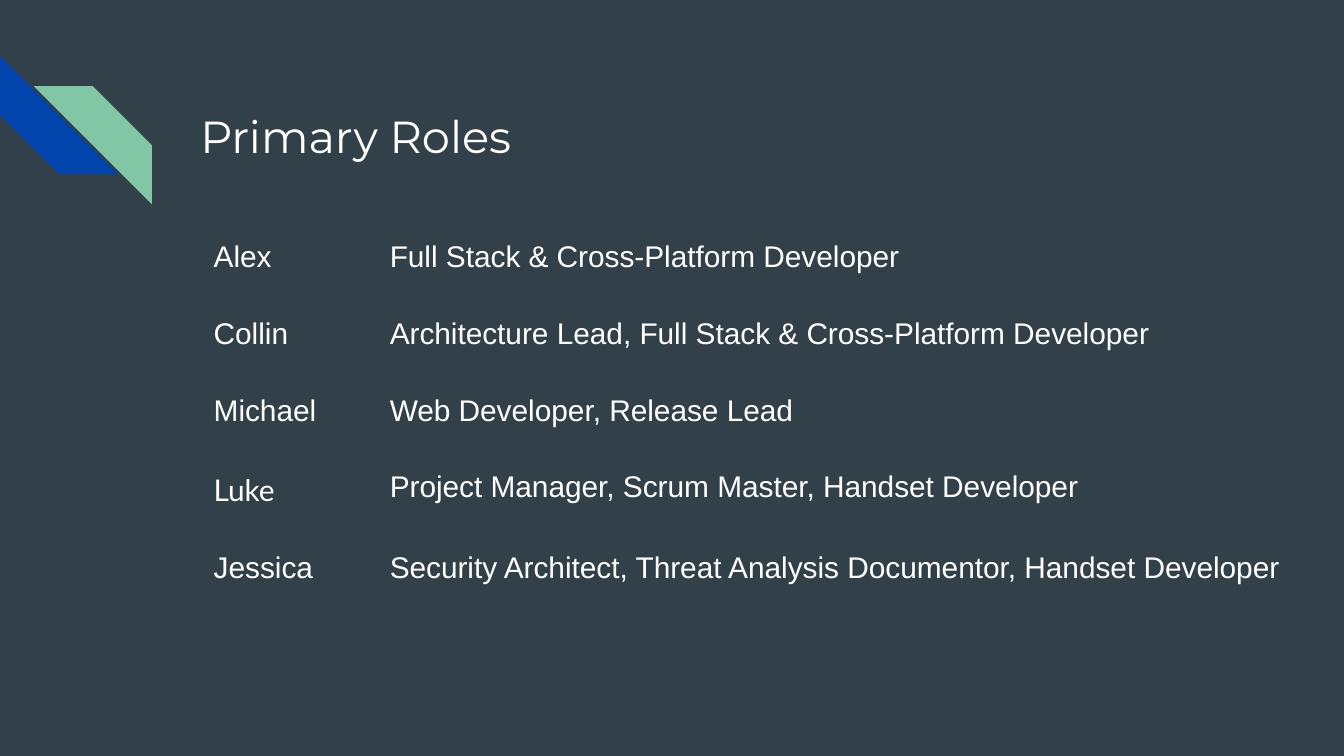
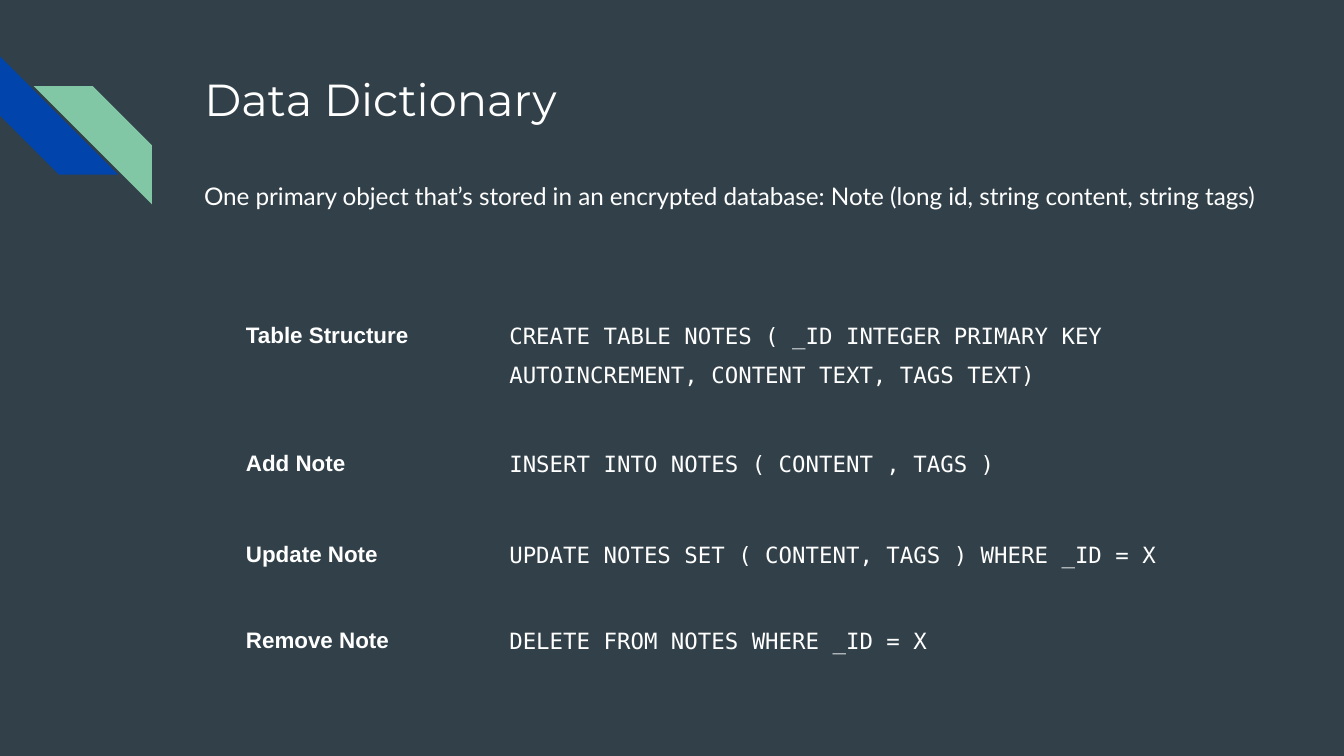
from lxml.etree import SubElement
from pptx import Presentation
from pptx.dml.color import RGBColor
from pptx.enum.shapes import MSO_SHAPE
from pptx.enum.text import MSO_ANCHOR, MSO_AUTO_SIZE, PP_ALIGN
from pptx.oxml.ns import qn
from pptx.util import Pt

# Scale: 200 px to the inch
PX = 4572
SLIDE_SIZE = (2000, 1125)
INSET = 20

# Shared look
SLATE = RGBColor(0x32, 0x41, 0x49)
BLUE = RGBColor(0x01, 0x45, 0xAC)
GREEN = RGBColor(0x82, 0xC7, 0xA5)
WHITE = RGBColor(0xFF, 0xFF, 0xFF)
TITLE_FONT, BODY_FONT = "Montserrat", "Lato"
TABLE_FONT, CODE_FONT = "Arial", "DejaVu Sans Mono"

STRIPE_SIDE = 176
STRIPES = [(0, 84, 270, BLUE), (50, 128, 90, GREEN)]  # left, top, rotation, colour

# Content
ROLES = [
    ("Alex", "Full Stack & Cross-Platform Developer"),
    ("Collin", "Architecture Lead, Full Stack & Cross-Platform Developer"),
    ("Michael", "Web Developer, Release Lead"),
    ("Luke", "Project Manager, Scrum Master, Handset Developer"),
    ("Jessica", "Security Architect, Threat Analysis Documentor, Handset Developer"),
]
SUMMARY = ("One primary object that’s stored in an encrypted database: "
           "Note (long id, string content, string tags)")
STATEMENTS = [
    ("Table Structure", "CREATE TABLE NOTES ( _ID INTEGER PRIMARY KEY "
                        "AUTOINCREMENT, CONTENT TEXT, TAGS TEXT)"),
    ("Add Note", "INSERT INTO NOTES ( CONTENT , TAGS )"),
    ("Update Note", "UPDATE NOTES SET ( CONTENT, TAGS ) WHERE _ID = X"),
    ("Remove Note", "DELETE FROM NOTES WHERE _ID = X"),
]


def emu(*lengths):
    return [round(length * PX) for length in lengths]


def set_insets(holder):
    """Give a text frame or a table cell the same margin on every side."""
    inset = emu(INSET)[0]
    holder.margin_left = holder.margin_right = inset
    holder.margin_top = holder.margin_bottom = inset
    holder.word_wrap = True


def style(paragraph, font_name, size, bold=False):
    font = paragraph.font
    font.name, font.size, font.bold = font_name, Pt(size), bold
    font.color.rgb = WHITE
    paragraph.alignment = PP_ALIGN.LEFT


def dress_layout(layout, slide):
    """Set the background and move the corner stripes onto the layout."""
    layout.background.fill.solid()
    layout.background.fill.fore_color.rgb = SLATE
    for left, top, rotation, colour in STRIPES:
        stripe = slide.shapes.add_shape(
            MSO_SHAPE.DIAGONAL_STRIPE, *emu(left, top, STRIPE_SIDE, STRIPE_SIDE))
        stripe.adjustments[0] = 0.5
        stripe.rotation = rotation
        stripe.shadow.inherit = False
        stripe.fill.solid()
        stripe.fill.fore_color.rgb = colour
        stripe.line.fill.background()
        layout.shapes.element.append(stripe.element)


def set_title(slide, text, box):
    title = slide.shapes.title
    title.left, title.top, title.width, title.height = emu(*box)
    frame = title.text_frame
    frame.text = text
    frame.auto_size = MSO_AUTO_SIZE.NONE
    frame.vertical_anchor = MSO_ANCHOR.TOP
    set_insets(frame)
    style(frame.paragraphs[0], TITLE_FONT, 24)


def add_summary(slide, text, box):
    frame = slide.shapes.add_textbox(*emu(*box)).text_frame
    frame.text = text
    set_insets(frame)
    paragraph = frame.paragraphs[0]
    style(paragraph, BODY_FONT, 13)
    paragraph.line_spacing = 1.15
    paragraph.space_after = Pt(16)


def add_borders(cell):
    properties = cell._tc.get_or_add_tcPr()
    for position, side in enumerate(("a:lnL", "a:lnR", "a:lnT", "a:lnB")):
        line = SubElement(properties, qn(side), w=str(Pt(0.75)))
        fill = SubElement(line, qn("a:solidFill"))
        SubElement(fill, qn("a:srgbClr"), val=str(SLATE))
        properties.insert(position, line)


def add_grid(slide, rows, corner, widths, heights, cell_style):
    """Add a table; cell_style(row, column) gives font, size and bold."""
    table = slide.shapes.add_table(
        len(rows), len(widths), *emu(*corner, sum(widths), sum(heights))).table
    table.first_row = table.horz_banding = False
    for column, width in zip(table.columns, emu(*widths)):
        column.width = width
    for row, height in zip(table.rows, emu(*heights)):
        row.height = height
    for r, texts in enumerate(rows):
        for c, text in enumerate(texts):
            cell = table.cell(r, c)
            cell.text = text
            cell.fill.background()
            set_insets(cell)
            add_borders(cell)
            paragraph = cell.text_frame.paragraphs[0]
            paragraph.line_spacing = 1.5
            style(paragraph, *cell_style(r, c))


def role_style(row, column):
    is_luke = ROLES[row][column] == "Luke"
    return (BODY_FONT if is_luke else TABLE_FONT), 16, False


def statement_style(row, column):
    return (TABLE_FONT, 12, True) if column == 0 else (CODE_FONT, 12, False)


def main():
    deck = Presentation()
    deck.slide_width, deck.slide_height = emu(*SLIDE_SIZE)
    title_only = deck.slide_layouts[5]

    # Primary roles
    roles = deck.slides.add_slide(title_only)
    dress_layout(title_only, roles)
    set_title(roles, "Primary Roles", (278, 142, 1006, 130))
    add_grid(roles, ROLES, (298, 314), (262, 1438), [84] * len(ROLES), role_style)

    # Data dictionary
    dictionary = deck.slides.add_slide(title_only)
    set_title(dictionary, "Data Dictionary", (284, 86, 1540, 200))
    add_summary(dictionary, SUMMARY, (284, 244, 1634, 114))
    add_grid(dictionary, STATEMENTS, (346, 442), (392, 1174),
             (190, 136, 128, 122), statement_style)

    deck.save("out.pptx")


if __name__ == "__main__":
    main()
